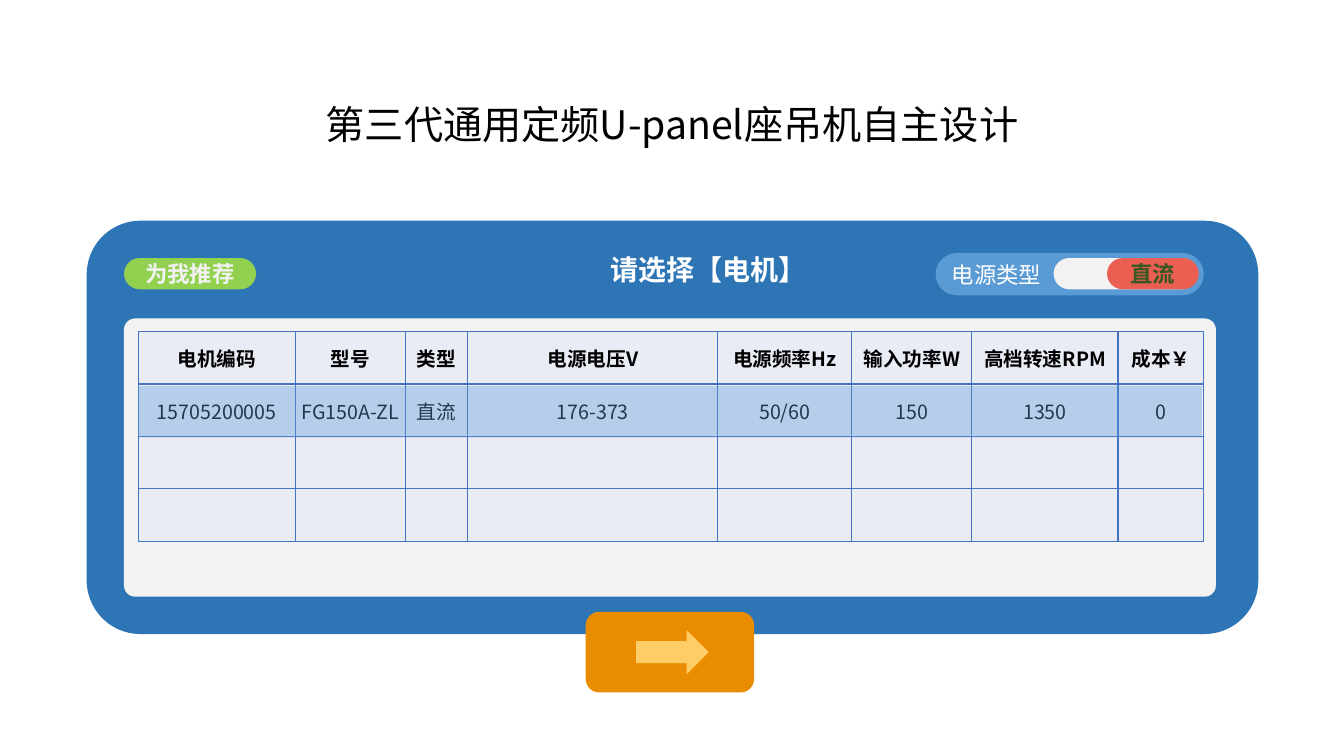
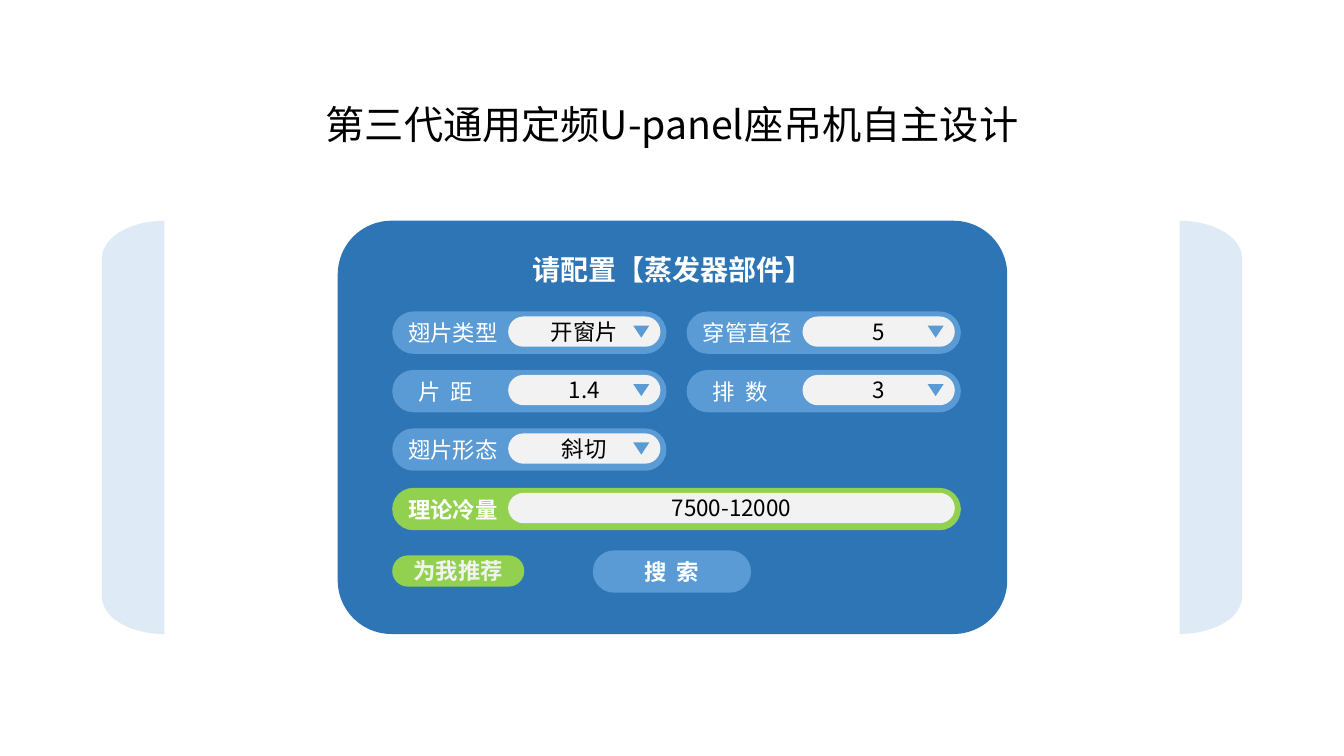
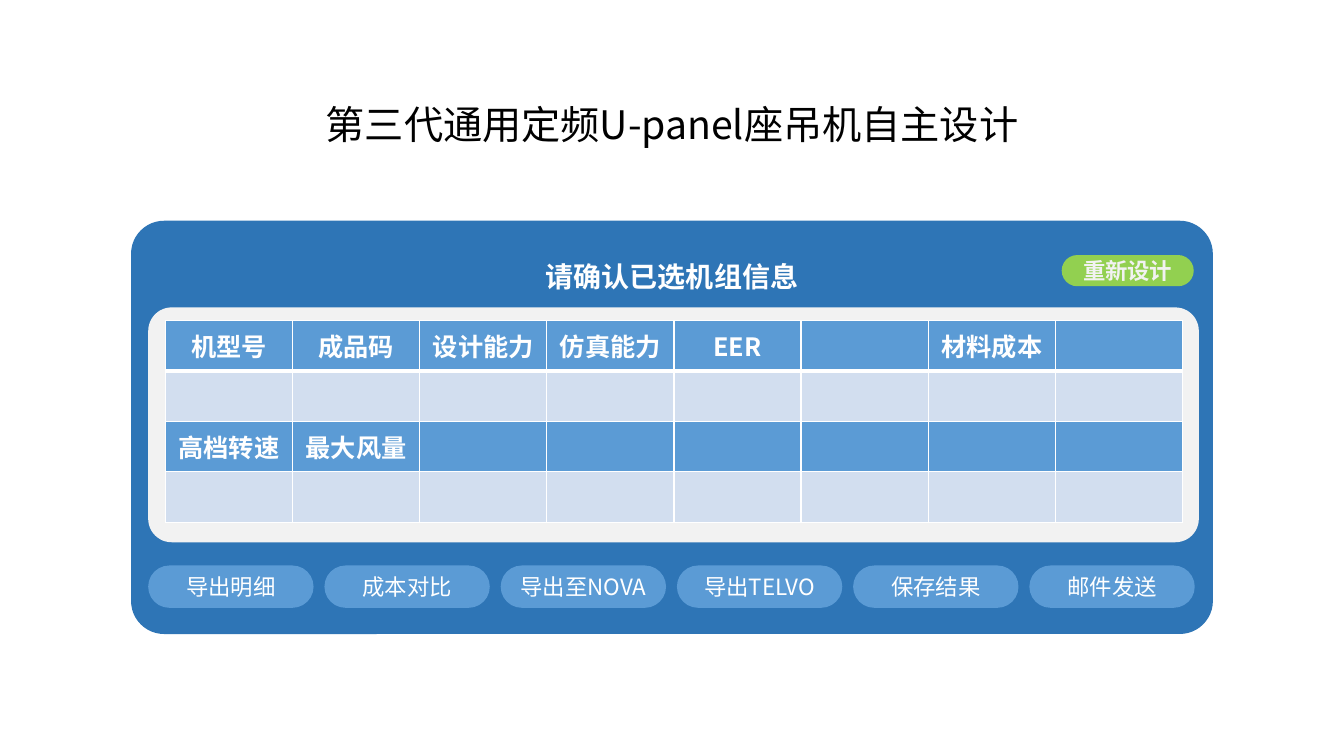
"""Build three screens of a design tool: motor choice, evaporator setup and unit summary."""
from dataclasses import dataclass

from lxml import etree
from pptx import Presentation
from pptx.dml.color import RGBColor
from pptx.enum.shapes import MSO_SHAPE
from pptx.enum.text import MSO_ANCHOR, PP_ALIGN
from pptx.oxml.ns import qn
from pptx.util import Inches, Pt

ROUND, RECT = MSO_SHAPE.ROUNDED_RECTANGLE, MSO_SHAPE.RECTANGLE
ARROW, BRACKET = MSO_SHAPE.RIGHT_ARROW, MSO_SHAPE.RIGHT_BRACKET
TRIANGLE = MSO_SHAPE.ISOSCELES_TRIANGLE
LEFT, CENTER = PP_ALIGN.LEFT, PP_ALIGN.CENTER
TOP, MIDDLE = MSO_ANCHOR.TOP, MSO_ANCHOR.MIDDLE


@dataclass(frozen=True)
class Theme:
    font: str = "Noto Sans CJK SC"
    title: int = 28
    heading: int = 20
    header: int = 18
    body: int = 16
    small: int = 14
    black: str = "000000"
    white: str = "FFFFFF"
    panel: str = "2E75B6"
    blue: str = "5B9BD5"
    pale: str = "DEEBF7"
    gray: str = "F2F2F2"
    green: str = "92D050"
    red: str = "EB5F52"
    dark_green: str = "385723"
    orange: str = "EA8C00"
    sand: str = "FFCC66"
    grid: str = "4472C4"
    cell: str = "E9EBF5"
    band: str = "D2DEEF"


T = Theme()

TITLE = "第三代通用定频U-panel座吊机自主设计"
PANEL_Y, PANEL_H = 2.19, 4.1
PILL_H, SMALL_H, INNER_H = 0.42, 0.31, 0.3
TAG_W = 1.31

MOTOR_COLS = [1.56, 1.09, 0.62, 2.48, 1.33, 1.19, 1.45, 0.85]
MOTOR_ROWS = [
    ["电机编码", "型号", "类型", "电源电压V", "电源频率Hz", "输入功率W", "高档转速RPM", "成本￥"],
    ["15705200005", "FG150A-ZL", "直流", "176-373", "50/60", "150", "1350", "0"],
    [""] * 8,
    [""] * 8,
]

FIELDS = [
    (0, 0, "翅片类型", "开窗片"),
    (0, 1, "穿管直径", "5"),
    (1, 0, "片 距", "1.4"),
    (1, 1, "排 数", "3"),
    (2, 0, "翅片形态", "斜切"),
]

UNIT_ROWS = [
    ["机型号", "成品码", "设计能力", "仿真能力", "EER", "", "材料成本", ""],
    [""] * 8,
    ["高档转速", "最大风量"] + [""] * 6,
    [""] * 8,
]
ACTIONS = ["导出明细", "成本对比", "导出至NOVA", "导出TELVO", "保存结果", "邮件发送"]


def write(tf, text, size, color, bold=False, align=CENTER, anchor=MIDDLE):
    tf.vertical_anchor = anchor
    p = tf.paragraphs[0]
    p.alignment = align
    r = p.add_run()
    r.text = text
    r.font.size = Pt(size)
    r.font.bold = bold
    r.font.name = T.font
    r.font.color.rgb = RGBColor.from_string(color)
    rpr = r.font._element
    etree.SubElement(rpr, qn("a:ea")).set("typeface", T.font)
    if " " in text:
        rpr.set("spc", "180")


def add_shape(s, kind, x, y, w, h, fill, adj=None, alpha=None, turn=0):
    sp = s.shapes.add_shape(kind, Inches(x), Inches(y), Inches(w), Inches(h))
    sp.shadow.inherit = False
    sp.fill.solid()
    sp.fill.fore_color.rgb = RGBColor.from_string(fill)
    sp.line.fill.background()
    sp.rotation = turn
    if adj is not None:
        sp.adjustments[0] = adj
    if alpha is not None:
        clr = sp._element.spPr.find(".//" + qn("a:srgbClr"))
        etree.SubElement(clr, qn("a:alpha")).set("val", str(alpha * 1000))
    return sp


def add_pill(s, x, y, w, h, fill, text="", color=T.white, bold=False, align=CENTER):
    sp = add_shape(s, ROUND, x, y, w, h, fill, 0.5)
    if text:
        tf = sp.text_frame
        tf.word_wrap = align == LEFT
        if align == LEFT and " " in text:
            tf.margin_left = Inches(0.2)
        write(tf, text, T.body, color, bold, align)


def add_tag(s, x, y, text):
    add_pill(s, x, y, TAG_W, SMALL_H, T.green, text, T.gray, True)


def add_field(s, x, y, w, label, value, fill=T.blue, bold=False):
    add_pill(s, x, y, w, PILL_H, fill, label, bold=bold, align=LEFT)
    add_pill(s, x + 1.15, y + 0.05, w - 1.21, INNER_H, T.gray, value, T.black)


def add_heading(s, x, y, w, text):
    tf = s.shapes.add_textbox(Inches(x), Inches(y), Inches(w), Inches(0.44)).text_frame
    tf.word_wrap = True
    write(tf, text, T.heading, T.white, True, anchor=TOP)


def set_border(cell, side, color, width):
    ln = etree.SubElement(cell._tc.get_or_add_tcPr(), qn("a:" + side))
    ln.set("w", str(Pt(width)))
    fill = etree.SubElement(ln, qn("a:solidFill"))
    etree.SubElement(fill, qn("a:srgbClr")).set("val", color)


def add_table(s, x, y, cols, row_h, rows, fills, line, size, colors, bolds, tight=False, rule=1):
    frame = s.shapes.add_table(len(rows), len(cols), Inches(x), Inches(y),
                               Inches(sum(cols)), Inches(row_h * len(rows)))
    table = frame.table
    table.first_row = table.horz_banding = False
    for col, w in zip(table.columns, cols):
        col.width = Inches(w)
    for i, row in enumerate(rows):
        table.rows[i].height = Inches(row_h)
        for j, text in enumerate(row):
            cell = table.cell(i, j)
            for side in ("lnL", "lnR", "lnT", "lnB"):
                under_header = (i, side) in ((0, "lnB"), (1, "lnT"))
                set_border(cell, side, line, rule if under_header else 1)
            cell.fill.solid()
            cell.fill.fore_color.rgb = RGBColor.from_string(fills[i])
            if tight:
                cell.margin_left = cell.margin_right = cell.margin_top = Inches(0.01)
                cell.margin_bottom = 0
            cell.vertical_anchor = MIDDLE
            if text:
                write(cell.text_frame, text, size, colors[i], bolds[i])
                cell.vertical_anchor = MIDDLE


def new_slide(prs, panel_x, panel_w, adj):
    s = prs.slides.add_slide(prs.slide_layouts[5])
    title = s.shapes.title
    title.left, title.top = Inches(2.96), Inches(0.94)
    title.width, title.height = Inches(7.41), Inches(0.57)
    title.text_frame.word_wrap = False
    write(title.text_frame, TITLE, T.title, T.black)
    add_shape(s, ROUND, panel_x, PANEL_Y, panel_w, PANEL_H, T.panel, adj)
    return s


def motor_slide(prs):
    s = new_slide(prs, 0.86, 11.62, 0.13)
    add_heading(s, 5.57, 2.46, 2.92, "请选择【电机】")
    add_pill(s, 9.28, 2.51, 2.66, PILL_H, T.blue, "电源类型", align=LEFT)
    add_pill(s, 10.45, 2.56, 1.43, SMALL_H, T.gray)
    add_pill(s, 10.98, 2.56, 0.91, SMALL_H, T.red, "直流", T.dark_green, True)
    add_shape(s, ROUND, 1.23, 3.16, 10.83, 2.76, T.gray, 0.04)
    add_table(s, 1.37, 3.29, MOTOR_COLS, 0.52, MOTOR_ROWS, [T.cell] * 4, T.grid, T.small,
              [T.black] * 4, [True] + [False] * 3, tight=True)
    add_shape(s, ROUND, 5.81, 6.07, 1.67, 0.8, T.orange)
    add_shape(s, ARROW, 6.31, 6.25, 0.72, 0.44, T.sand)
    add_tag(s, 1.23, 2.56, "为我推荐")
    add_shape(s, RECT, 1.37, 3.83, 10.55, 0.51, T.blue, alpha=36)


def evaporator_slide(prs):
    s = new_slide(prs, 3.35, 6.64, 0.13)
    add_heading(s, 4.9, 2.46, 3.54, "请配置【蒸发器部件】")
    for x, turn in ((1.01, 180), (11.7, 0)):
        add_shape(s, BRACKET, x, PANEL_Y, 0.62, PANEL_H, T.pale, 0.6, turn=turn)
    left = 3.89
    for row, col, label, value in FIELDS:
        x, y = left + 2.92 * col, 3.09 + 0.58 * row
        add_field(s, x, y, 2.72, label, value)
        add_shape(s, TRIANGLE, x + 2.39, y + 0.14, 0.16, 0.12, T.blue, turn=180)
    add_field(s, left, 4.84, 5.64, "理论冷量", "7500-12000", T.green, True)
    add_tag(s, left, 5.51, "为我推荐")
    add_pill(s, 5.88, 5.46, 1.57, PILL_H, T.blue, "搜 索", bold=True)


def summary_slide(prs):
    s = new_slide(prs, 1.3, 10.73, 0.08)
    add_heading(s, 4.59, 2.53, 4.15, "请确认已选机组信息")
    add_tag(s, 10.53, 2.53, "重新设计")
    add_shape(s, ROUND, 1.47, 3.05, 10.42, 2.33, T.gray, 0.1)
    add_table(s, 1.64, 3.18, [10.09 / 8] * 8, 0.5, UNIT_ROWS, [T.blue, T.band] * 2, T.white,
              T.header, [T.white] * 4, [True] * 4, rule=3)
    left, right, w = 1.47, 11.85, 1.64
    step = (right - left - w) / (len(ACTIONS) - 1)
    for i, action in enumerate(ACTIONS):
        add_pill(s, left + i * step, 5.61, w, PILL_H, T.blue, action)


def main():
    prs = Presentation()
    prs.slide_width, prs.slide_height = Inches(13.33), Inches(7.5)
    for build in (motor_slide, evaporator_slide, summary_slide):
        build(prs)
    prs.save("out.pptx")


if __name__ == "__main__":
    main()
